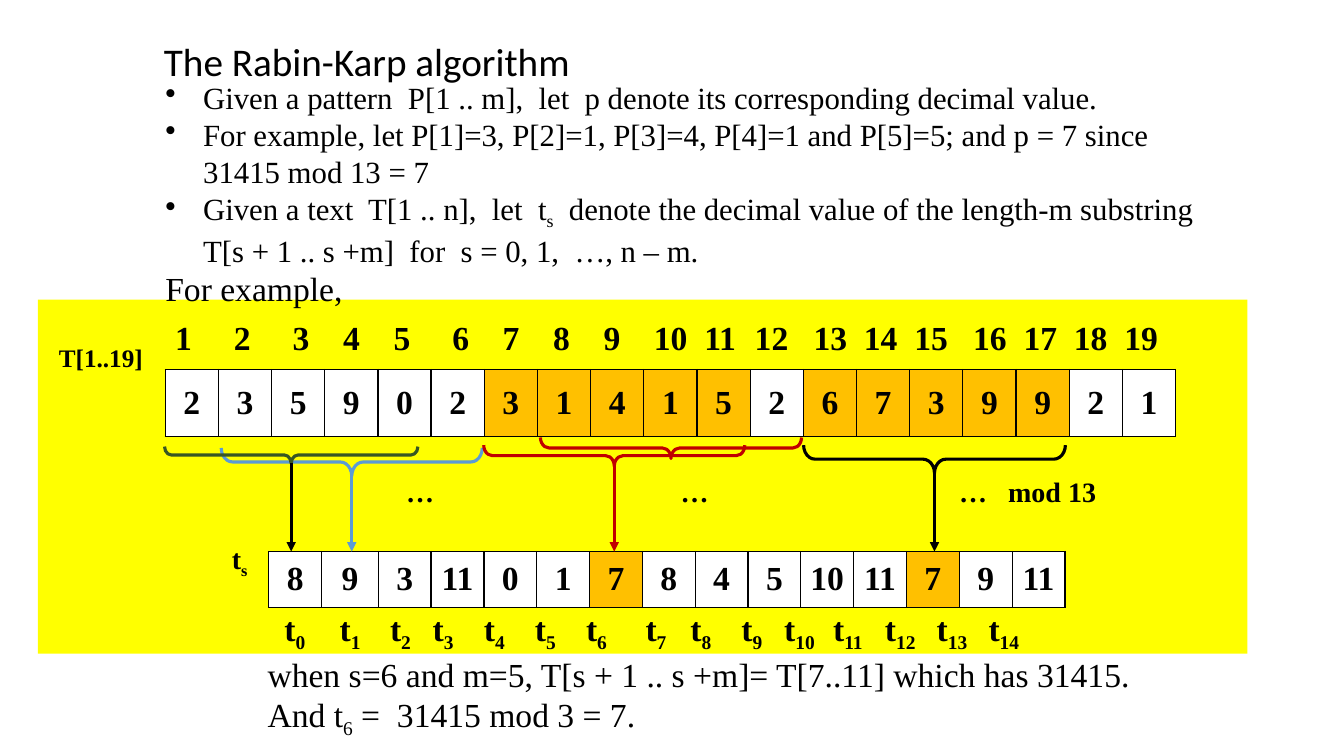
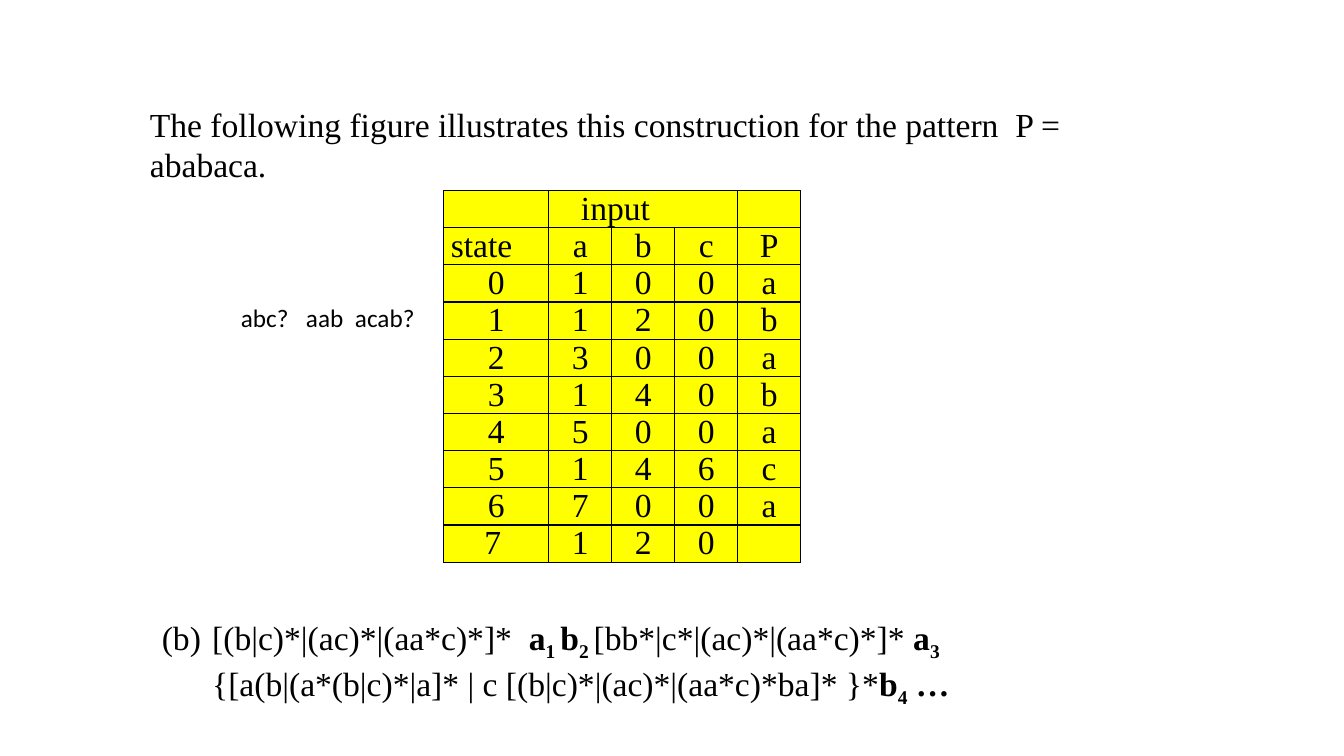
from itertools import accumulate

from lxml import etree
from pptx import Presentation
from pptx.dml.color import RGBColor
from pptx.enum import shapes, text
from pptx.oxml import ns
from pptx.util import Pt

# Shared look
BLACK = RGBColor(0x00, 0x00, 0x00)
WHITE = RGBColor(0xFF, 0xFF, 0xFF)
YELLOW = RGBColor(0xFF, 0xFF, 0x00)
ORANGE = RGBColor(0xFF, 0xC0, 0x00)
BLUE = RGBColor(0x5B, 0x9B, 0xD5)
RED = RGBColor(0xC0, 0x00, 0x00)
GREEN = RGBColor(0x38, 0x57, 0x23)
BODY = {"name": "Times New Roman", "size": Pt(24), "bold": False}
STRONG = {**BODY, "bold": True}
SANS = {**BODY, "name": "Calibri"}
LINE_WIDTH = 2.25
CENTER = text.PP_ALIGN.CENTER
MIDDLE = text.MSO_ANCHOR.MIDDLE


def add_xml(parent, tag, **attributes):
    return etree.SubElement(parent, ns.qn(tag), attributes)


def set_all(target, values):
    for name, value in values.items():
        setattr(target, name, value)


def write(paragraph, content, style, align=None, indent=0, hang=0,
          bullet=None, tabs=()):
    """Write a line; ^ switches bold and _ switches subscript."""
    paragraph.alignment = align
    properties = paragraph._p.get_or_add_pPr()
    if indent:
        properties.set("marL", str(Pt(indent)))
        properties.set("indent", str(Pt(-hang)))
    if bullet:
        tag, attributes = bullet
        add_xml(properties, tag, **attributes)
    if tabs:
        stops = add_xml(properties, "a:tabLst")
        for stop in tabs:
            add_xml(stops, "a:tab", pos=str(Pt(stop)), algn="l")
    for i, part in enumerate(content.split("^")):
        for j, piece in enumerate(part.split("_")):
            if not piece:
                continue
            run = paragraph.add_run()
            run.text = piece
            set_all(run.font, style)
            run.font.color.rgb = BLACK
            if i % 2:
                run.font.bold = True
            if j % 2:
                run._r.get_or_add_rPr().set("baseline", "-25000")


def add_text(slide, box, lines, anchor=text.MSO_ANCHOR.TOP, wrap=True):
    """Each line is (content, style, paragraph options)."""
    frame = slide.shapes.add_textbox(*map(Pt, box)).text_frame
    set_all(frame, {"word_wrap": wrap, "vertical_anchor": anchor,
                    "auto_size": text.MSO_AUTO_SIZE.SHAPE_TO_FIT_TEXT})
    for i, (content, style, options) in enumerate(lines):
        paragraph = frame.add_paragraph() if i else frame.paragraphs[0]
        write(paragraph, content, style, **options)


def format_cell(cell, fill, anchor):
    set_all(cell, {"margin_left": Pt(5), "margin_right": Pt(5),
                   "margin_top": 0, "margin_bottom": 0,
                   "vertical_anchor": anchor})
    properties = cell._tc.get_or_add_tcPr()
    for side in ("a:lnL", "a:lnR", "a:lnT", "a:lnB"):
        border = add_xml(properties, side, w=str(Pt(1)))
        add_xml(add_xml(border, "a:solidFill"), "a:srgbClr", val=str(BLACK))
    cell.fill.solid()
    cell.fill.fore_color.rgb = fill


def add_grid(slide, left, top, widths, row_height, rows, style, fill_at,
             anchor=text.MSO_ANCHOR.TOP, options_at=None):
    """fill_at(column) gives a fill; options_at overrides centring by cell."""
    table = slide.shapes.add_table(
        len(rows), len(widths), Pt(left), Pt(top), Pt(sum(widths)),
        Pt(row_height * len(rows))).table
    set_all(table, {"first_row": False, "horz_banding": False})
    for column, width in zip(table.columns, widths):
        column.width = Pt(width)
    for r, row in enumerate(rows):
        table.rows[r].height = Pt(row_height)
        for c, value in enumerate(row):
            cell = table.cell(r, c)
            format_cell(cell, fill_at(c), anchor)
            options = (options_at or {}).get((r, c), {"align": CENTER})
            write(cell.text_frame.paragraphs[0], value, style, **options)
    return table


def add_band(slide, box):
    band = slide.shapes.add_shape(shapes.MSO_SHAPE.RECTANGLE, *map(Pt, box))
    band.shadow.inherit = False
    band.fill.solid()
    band.fill.fore_color.rgb = YELLOW
    band.line.fill.background()


def add_brace(slide, left, top, span, depth, color):
    """A brace that opens upwards, turned about its centre."""
    brace = slide.shapes.add_shape(
        shapes.MSO_SHAPE.RIGHT_BRACE, Pt(left + (span - depth) / 2),
        Pt(top + (depth - span) / 2), Pt(depth), Pt(span))
    brace.rotation = 90
    brace.adjustments[0] = 0.41
    brace.shadow.inherit = False
    brace.fill.background()
    brace.line.color.rgb = color
    brace.line.width = Pt(LINE_WIDTH)


def add_arrow(slide, x, top, bottom, color):
    arrow = slide.shapes.add_connector(
        shapes.MSO_CONNECTOR.STRAIGHT, Pt(x), Pt(top), Pt(x), Pt(bottom))
    arrow.line.color.rgb = color
    arrow.line.width = Pt(LINE_WIDTH)
    add_xml(arrow.line._get_or_add_ln(), "a:tailEnd", type="triangle")
    add_xml(arrow._element.spPr, "a:effectLst")


def build_rabin_karp(slide):
    hash_top = 394
    add_band(slide, (27, 214, 864, 253))

    # Text digits and their hash values
    digits = "2 3 5 9 0 2 3 1 4 1 5 2 6 7 3 9 9 2 1".split()
    matches = {*range(6, 11), *range(12, 17)}
    add_grid(slide, 118, 264, [38] * len(digits), 48, [digits], STRONG,
             lambda c: ORANGE if c in matches else WHITE, MIDDLE)
    hashes = "8 9 3 11 0 1 7 8 4 5 10 11 7 9 11".split()
    hash_widths = [37.75, 40.5] + [37.75] * (len(hashes) - 2)
    add_grid(slide, 192, hash_top, hash_widths, 40, [hashes], STRONG,
             lambda c: ORANGE if hashes[c] == "7" else WHITE, MIDDLE)

    # Windows: left, top, span, depth, brace colour, arrow colour
    windows = [
        (158, 320, 186.5, 20, BLUE, BLUE),
        (345.5, 318, 186.5, 15, RED, RED),
        (574, 318, 187, 20, BLACK, BLACK),
        (117.5, 319, 181, 12, GREEN, BLACK),
        (386, 312.5, 186.5, 15, RED, None),
    ]
    for left, top, span, depth, color, arrow_color in windows:
        add_brace(slide, left, top, span, depth, color)
        if arrow_color is not None:
            add_arrow(slide, left + span / 2, top + depth, hash_top,
                      arrow_color)

    # Index row: wider steps after these positions
    wide_steps = {1, 2, 5, 12, 15}
    index_tabs = list(accumulate(
        42 if i in wide_steps else 36 for i in range(1, len(digits))))
    indices = "\t".join(str(i + 1) for i in range(len(digits)))
    add_text(slide, (118, 222.5, 722, 36),
             [(indices, STRONG, {"tabs": index_tabs})], MIDDLE)
    add_text(slide, (118, 335, 697, 31.5),
             [("\t…\t…\t…\tmod 13", {**STRONG, "size": Pt(20)},
               {"tabs": [165, 361, 560, 595]})], MIDDLE)

    # Hash labels and conclusion
    label_tabs = list(accumulate([78, 39.5, 36, 30.5, 36.5, 36.5, 36.5, 42.5,
                                  32, 36.5, 30.5, 35, 37, 37, 37]))
    labels = "".join(f"\tt_{i}_" for i in range(len(hashes)))
    add_text(slide, (118, 430.5, 716.5, 94.5), [
        (labels, STRONG, {"tabs": label_tabs}),
        ("when s=6 and m=5, T[s + 1 .. s +m]= T[7..11] which has 31415.",
         BODY, {"indent": 66}),
        ("And t_6_ =  31415 mod 3 = 7.", BODY, {"indent": 66})])

    # Definitions
    points = [
        "Given a pattern  P[1 .. m],  let  p denote its corresponding "
        "decimal value.",
        "For example, let P[1]=3, P[2]=1, P[3]=4, P[4]=1 and P[5]=5; "
        "and p = 7 since 31415 mod 13 = 7",
        "Given a text  T[1 .. n],  let  t_s_  denote the decimal value of "
        "the length-m substring  T[s + 1 .. s +m]  for  s = 0, 1,  …, n – m.",
    ]
    point_style = {**BODY, "size": Pt(22)}
    bulleted = {"indent": 27, "hang": 27, "bullet": ("a:buChar", {"char": "•"})}
    add_text(slide, (111, 52.5, 754.5, 170),
             [(point, point_style, bulleted) for point in points]
             + [("For example,", BODY, {})])

    # Row names and title
    add_text(slide, (35, 241, 75, 29),
             [("T[1..19]", {**STRONG, "size": Pt(18)}, {})], wrap=False)
    add_text(slide, (158.5, 383, 27.5, 31.5),
             [("t_s_", {**STRONG, "size": Pt(20)}, {})])
    add_text(slide, (110, 23, 314, 41),
             [("The Rabin-Karp algorithm", {**SANS, "size": Pt(28)}, {})],
             wrap=False)


def build_automaton(slide):
    # Transition table
    rows = [["", "input", "", "", ""]] + [
        line.split() for line in (
            "state a b c P", "0 1 0 0 a", "1 1 2 0 b", "2 3 0 0 a",
            "3 1 4 0 b", "4 5 0 0 a", "5 1 4 6 c", "6 7 0 0 a")]
    rows.append(["7", "1", "2", "0", ""])
    left_cells = {(0, 1): {"indent": 18}, (1, 0): {}, (9, 0): {"indent": 24}}
    table = add_grid(slide, 317, 136, [75] + [45] * 4, 26.5, rows, BODY,
                     lambda c: YELLOW, options_at=left_cells)
    table.cell(0, 1).merge(table.cell(0, 3))

    # Introduction, expression and side note
    add_text(slide, (100, 70.5, 743, 65.5),
             [("The following figure illustrates this construction for the "
               "pattern  P = ababaca.", BODY, {})])
    numbering = ("a:buAutoNum", {"type": "alphaLcParenBoth", "startAt": "2"})
    add_text(slide, (108.5, 437, 611.5, 65.5), [
        ("[(b|c)*|(ac)*|(aa*c)*]*  ^a_1 _b_2 _^[bb*|c*|(ac)*|(aa*c)*]* "
         "^a_3_^", BODY, {"indent": 36, "hang": 36, "bullet": numbering}),
        ("{[a(b|(a*(b|c)*|a]* | c [(b|c)*|(ac)*|(aa*c)*ba]* }*^b_4_ …^",
         BODY, {"indent": 36})])
    add_text(slide, (165, 212.5, 139, 29),
             [("abc?\taab\tacab?", {**SANS, "size": Pt(18)},
               {"tabs": [46.5, 81.5]})])


def main():
    deck = Presentation()
    deck.slide_width, deck.slide_height = Pt(960), Pt(540)
    blank = deck.slide_layouts[6]
    for build in (build_rabin_karp, build_automaton):
        build(deck.slides.add_slide(blank))
    deck.save("out.pptx")


if __name__ == "__main__":
    main()
